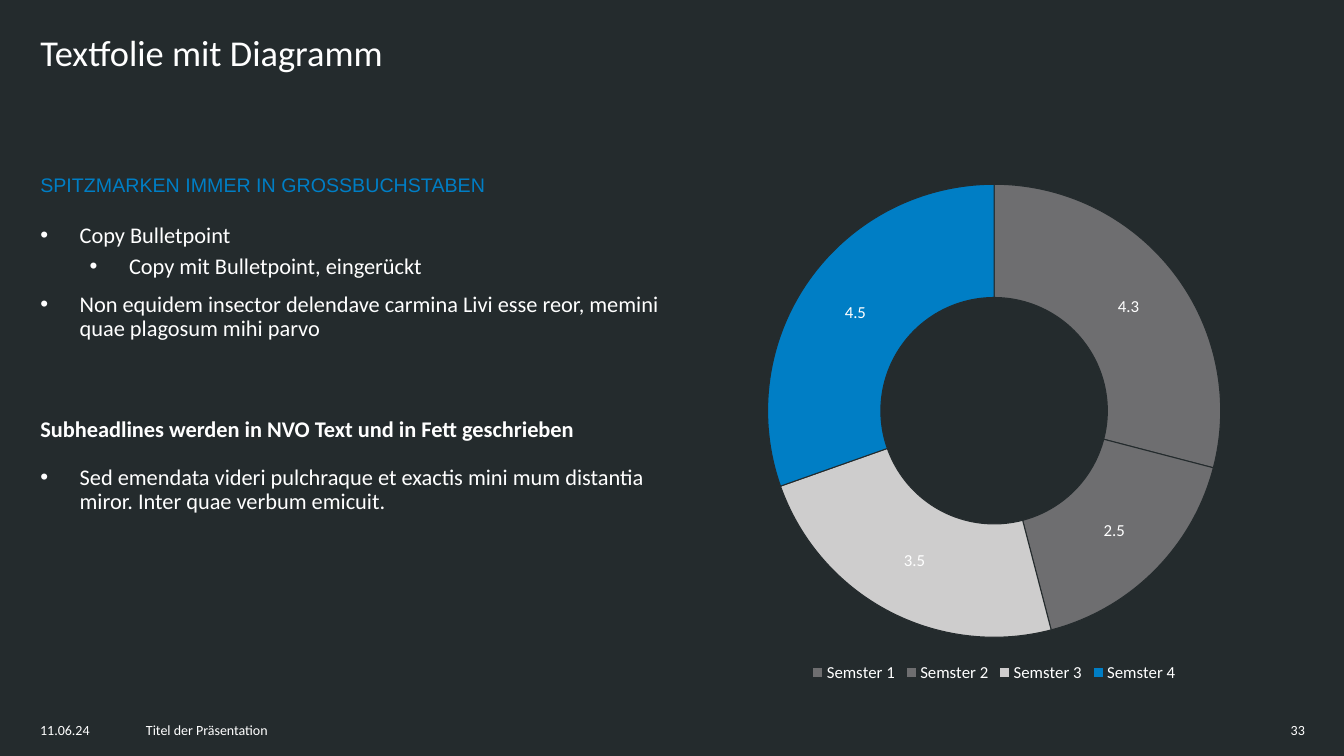
from dataclasses import dataclass

from lxml.etree import SubElement
from pptx import Presentation
from pptx.chart.data import CategoryChartData
from pptx.dml.color import RGBColor
from pptx.enum.chart import XL_CHART_TYPE, XL_LEGEND_POSITION
from pptx.enum.text import MSO_ANCHOR, MSO_AUTO_SIZE, PP_ALIGN
from pptx.oxml.ns import qn
from pptx.util import Inches, Pt

DARK = RGBColor(0x24, 0x2B, 0x2D)
WHITE = RGBColor(0xFF, 0xFF, 0xFF)
BLUE = RGBColor(0x00, 0x7E, 0xC5)
GREY = RGBColor(0x6E, 0x6E, 0x70)
PALE = RGBColor(0xCE, 0xCD, 0xCD)
FONT = "Calibri"


@dataclass(frozen=True)
class Line:
    text: str
    size: float = 16
    font: str = FONT
    color: RGBColor = WHITE
    bold: bool = False
    indent: float = 0  # text indent of a bullet, 0 for plain text
    level: int = 0
    before: float = 10
    spacing: float = 0.9
    align: PP_ALIGN = PP_ALIGN.LEFT


@dataclass(frozen=True)
class Block:
    box: tuple[float, float, float, float]
    lines: tuple[Line, ...]
    holder: int | None = None  # placeholder index, None for a text box


@dataclass(frozen=True)
class Slice:
    name: str
    value: float
    color: RGBColor


BULLET = 0.39
BLOCKS = (
    Block((0.3, 0.3, 12.2, 1.1), (Line("Textfolie mit Diagramm", 26),), 0),
    Block((0.3, 1.69, 6.37, 0.43),
          (Line("SPITZMARKEN IMMER IN GROSSBUCHSTABEN", 14, "Arial", BLUE),), 1),
    Block((0.3, 2.17, 6.37, 1.77), (
        Line("Copy Bulletpoint", indent=BULLET),
        Line("Copy mit Bulletpoint, eingerückt", indent=0.88, level=1, before=5),
        Line("Non equidem insector delendave carmina Livi esse reor, memini "
             "quae plagosum mihi parvo", indent=BULLET),
    ), 2),
    Block((0.3, 4.1, 6.37, 0.43),
          (Line("Subheadlines werden in NVO Text und in Fett geschrieben",
                bold=True),), 3),
    Block((0.3, 4.57, 6.37, 1.77), (
        Line("Sed emendata videri pulchraque et exactis mini mum distantia "
             "miror. Inter quae verbum emicuit.", indent=BULLET),
    ), 4),
    Block((0.3, 7.11, 0.98, 0.31), (Line("11.06.24", 10, spacing=1),)),
    Block((1.35, 7.11, 10.63, 0.31),
          (Line("Titel der Präsentation", 10, spacing=1),)),
    Block((12.25, 7.11, 0.79, 0.31),
          (Line("33", 10, spacing=1, align=PP_ALIGN.RIGHT),)),
)
SLICES = (
    Slice("Semster 1", 4.3, GREY),
    Slice("Semster 2", 2.5, GREY),
    Slice("Semster 3", 3.5, PALE),
    Slice("Semster 4", 4.5, BLUE),
)


def style(font, size: float, color: RGBColor, name: str = FONT) -> None:
    font.size = Pt(size)
    font.name = name
    font.color.rgb = color


def indent(para, left: float) -> None:
    """Set a hanging bullet, or plain text when left is zero."""
    props = para._p.get_or_add_pPr()
    props.set("marL", str(Inches(left)))
    props.set("indent", str(-Inches(BULLET) if left else 0))
    if left:
        SubElement(props, qn("a:buFont"), typeface="Arial")
        SubElement(props, qn("a:buChar"), char="•")
    else:
        SubElement(props, qn("a:buNone"))


def add_block(slide, block: Block) -> None:
    box = [Inches(x) for x in block.box]
    if block.holder is None:
        shape = slide.shapes.add_textbox(*box)
    else:
        shape = slide.placeholders[block.holder]
        shape.left, shape.top, shape.width, shape.height = box
    frame = shape.text_frame
    frame.word_wrap = True
    frame.auto_size = MSO_AUTO_SIZE.NONE
    frame.vertical_anchor = MSO_ANCHOR.TOP
    for i, line in enumerate(block.lines):
        para = frame.add_paragraph() if i else frame.paragraphs[0]
        indent(para, line.indent)
        para.level = line.level
        para.alignment = line.align
        para.line_spacing = line.spacing
        para.space_before = Pt(line.before if i else 0)
        run = para.add_run()
        run.text = line.text
        style(run.font, line.size, line.color, line.font)
        run.font.bold = line.bold


def add_ring(slide) -> None:
    data = CategoryChartData()
    data.categories = [part.name for part in SLICES]
    data.add_series("Series 1", [part.value for part in SLICES])
    chart = slide.shapes.add_chart(
        XL_CHART_TYPE.DOUGHNUT, Inches(6.67), Inches(1.69),
        Inches(6.38), Inches(5.12), data).chart
    style(chart.font, 10, DARK)
    chart.has_title = False
    chart.has_legend = True
    chart.legend.position = XL_LEGEND_POSITION.BOTTOM
    chart.legend.include_in_layout = False
    style(chart.legend.font, 12, WHITE)

    plot = chart.plots[0]
    plot.vary_by_categories = True
    plot._element.find(qn("c:holeSize")).set("val", "75")
    series = plot.series[0]
    for i, part in enumerate(SLICES):
        look = series.points[i].format
        look.fill.solid()
        look.fill.fore_color.rgb = part.color
        look.line.color.rgb = DARK
        look.line.width = Pt(0.75)
    labels = series.data_labels
    labels.show_value = True
    labels.show_percentage = False
    style(labels.font, 12, WHITE)


def main() -> None:
    deck = Presentation()
    deck.slide_width, deck.slide_height = Inches(13.33), Inches(7.5)
    slide = deck.slides.add_slide(deck.slide_layouts.get_by_name("Comparison"))
    back = slide.background.fill
    back.solid()
    back.fore_color.rgb = DARK
    for block in BLOCKS:
        add_block(slide, block)
    add_ring(slide)
    deck.save("out.pptx")


if __name__ == "__main__":
    main()
